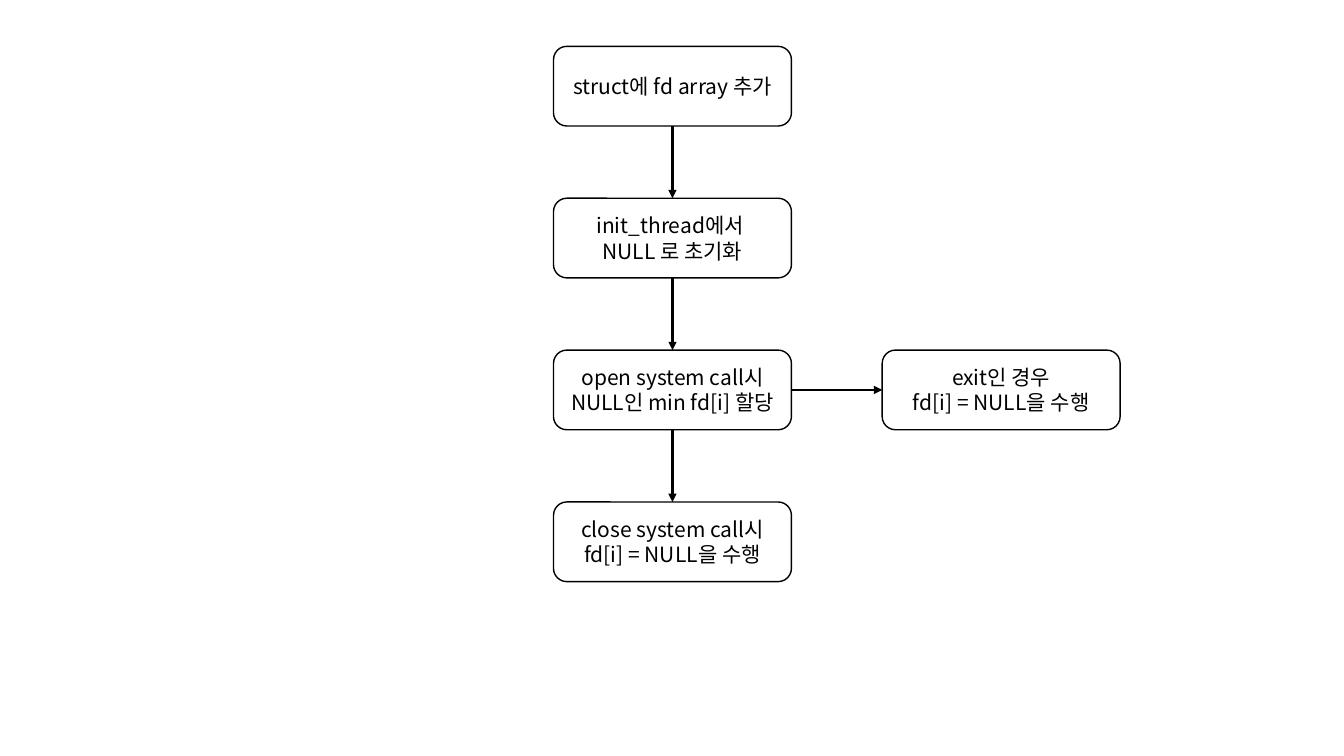
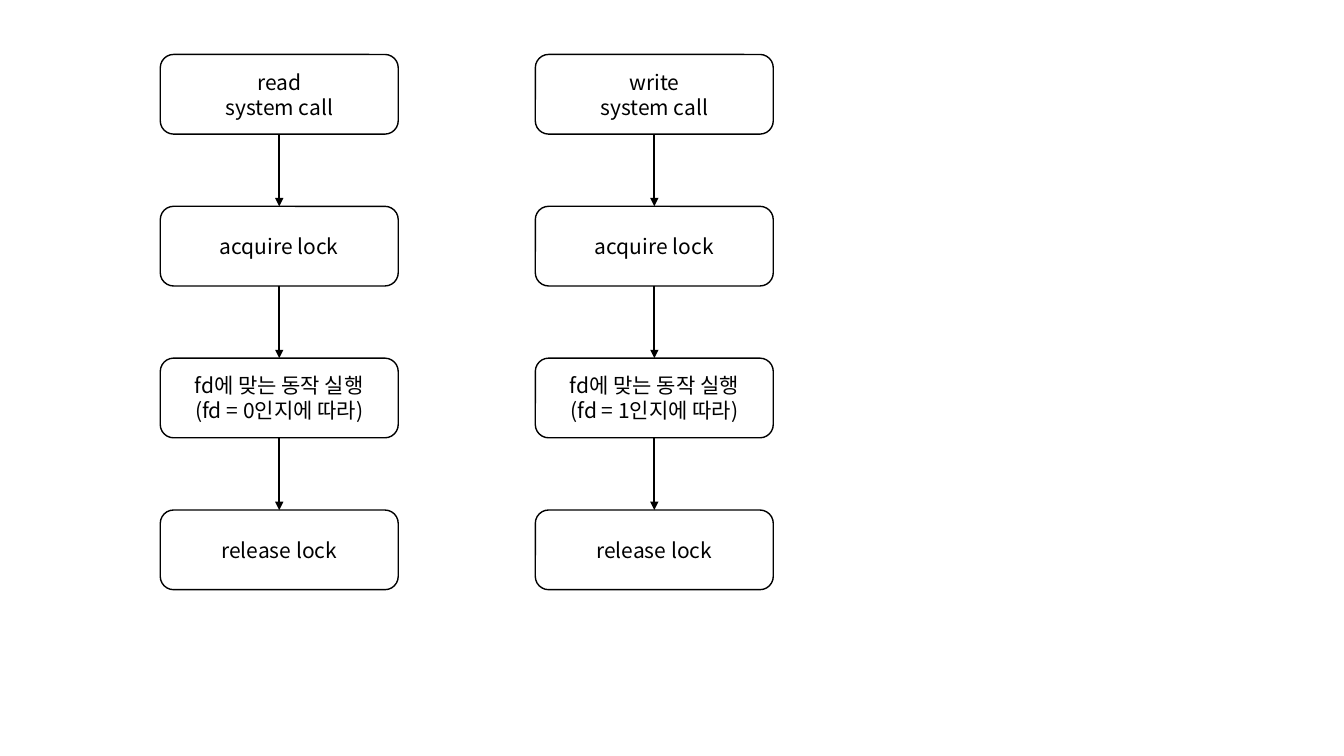
from dataclasses import dataclass
from itertools import pairwise

from lxml.etree import SubElement
from pptx import Presentation
from pptx.dml.color import RGBColor as RGB
from pptx.enum.shapes import MSO_CONNECTOR as CONN, MSO_SHAPE as SHAPE
from pptx.enum.text import MSO_ANCHOR as ANCHOR, PP_ALIGN as ALIGN
from pptx.oxml.ns import qn
from pptx.util import Inches, Pt

BLANK = 6
TOP, LEFT, BOTTOM, RIGHT = range(4)  # connection sites of a rounded box


@dataclass(frozen=True)
class Theme:
    """Colours, type and the box grid, lengths in inches."""
    ink: RGB = RGB(0, 0, 0)
    paper: RGB = RGB(255, 255, 255)
    font: str = "Noto Sans CJK KR"
    size: int = 15
    outline: float = 1
    arrow: float = 1.5
    box_w: float = 2.36
    box_h: float = 0.79
    row_pitch: float = 4.52 / 3


class Flowchart:
    """Draws boxes and arrows on the current slide."""

    def __init__(self, prs, theme):
        self.prs, self.theme, self.slide = prs, theme, None

    def new_slide(self, top):
        """Start a slide whose first row of boxes sits at top."""
        self.slide = self.prs.slides.add_slide(self.prs.slide_layouts[BLANK])
        self.top = top

    def box(self, left, row, lines):
        """Add a rounded box with one paragraph per line."""
        t = self.theme
        y = self.top + row * t.row_pitch
        sp = self.slide.shapes.add_shape(
            SHAPE.ROUNDED_RECTANGLE,
            *map(Inches, (left, y, t.box_w, t.box_h)))
        sp.shadow.inherit = False
        sp.fill.solid()
        sp.fill.fore_color.rgb = t.paper
        sp.line.color.rgb = t.ink
        sp.line.width = Pt(t.outline)
        tf = sp.text_frame
        tf.word_wrap, tf.vertical_anchor = True, ANCHOR.MIDDLE
        tf.text = "\n".join(lines)
        for p in tf.paragraphs:
            p.alignment = ALIGN.CENTER
            for r in p.runs:
                self.style(r)
        return sp

    def style(self, r):
        """Give a run the theme's type, for Latin and Korean alike."""
        t = self.theme
        for name, value in {"name": t.font, "size": Pt(t.size)}.items():
            setattr(r.font, name, value)
        r.font.color.rgb = t.ink
        SubElement(r.font._element, qn("a:ea"), typeface=t.font)

    def arrow(self, source, target, start=BOTTOM, end=TOP):
        """Join two boxes with an arrow between connection sites."""
        cx = self.slide.shapes.add_connector(CONN.STRAIGHT, 0, 0, 0, 0)
        cx.begin_connect(source, start)
        cx.end_connect(target, end)
        cx.line.color.rgb = self.theme.ink
        cx.line.width = Pt(self.theme.arrow)
        SubElement(cx.line._get_or_add_ln(), qn("a:tailEnd"), type="triangle")
        SubElement(cx._element.spPr, qn("a:effectLst"))

    def column(self, left, steps):
        """Stack steps downward, joined by arrows, and return the boxes."""
        boxes = [self.box(left, row, lines) for row, lines in enumerate(steps)]
        for source, target in pairwise(boxes):
            self.arrow(source, target)
        return boxes


def file_descriptors(chart):
    """Slide 1: life of the fd array."""
    chart.new_slide(top=0.46)
    steps = chart.column(5.49, [
        ["struct에 fd array 추가"],
        ["init_thread에서 ", "NULL 로 초기화"],
        ["open system call시 NULL인 min fd[i] 할당"],
        ["close system call시 fd[i] = NULL을 수행"],
    ])
    on_exit = chart.box(8.75, 2, ["exit인 경우", "fd[i] = NULL을 수행"])
    chart.arrow(steps[2], on_exit, RIGHT, LEFT)


def read_and_write(chart):
    """Slide 2: locking around read and write."""
    chart.new_slide(top=0.54)
    for left, call, fd in ((1.59, "read", 0), (5.31, "write", 1)):
        chart.column(left, [
            [call, "system call"],
            ["acquire lock"],
            ["fd에 맞는 동작 실행", f"(fd = {fd}인지에 따라)"],
            ["release lock"],
        ])


def main():
    """Build both slides and save them."""
    prs = Presentation()
    prs.slide_width, prs.slide_height = Inches(13.33), Inches(7.5)
    chart = Flowchart(prs, Theme())
    file_descriptors(chart)
    read_and_write(chart)
    prs.save("out.pptx")


main()
